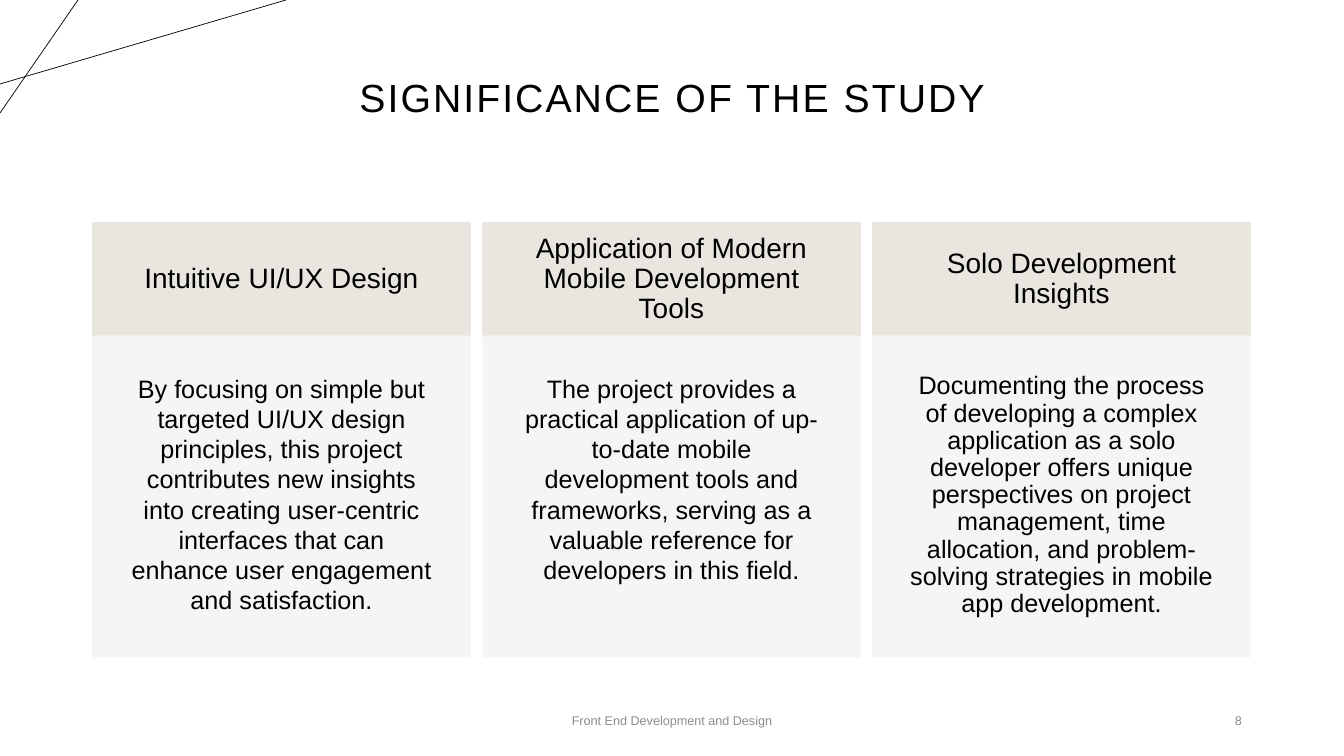
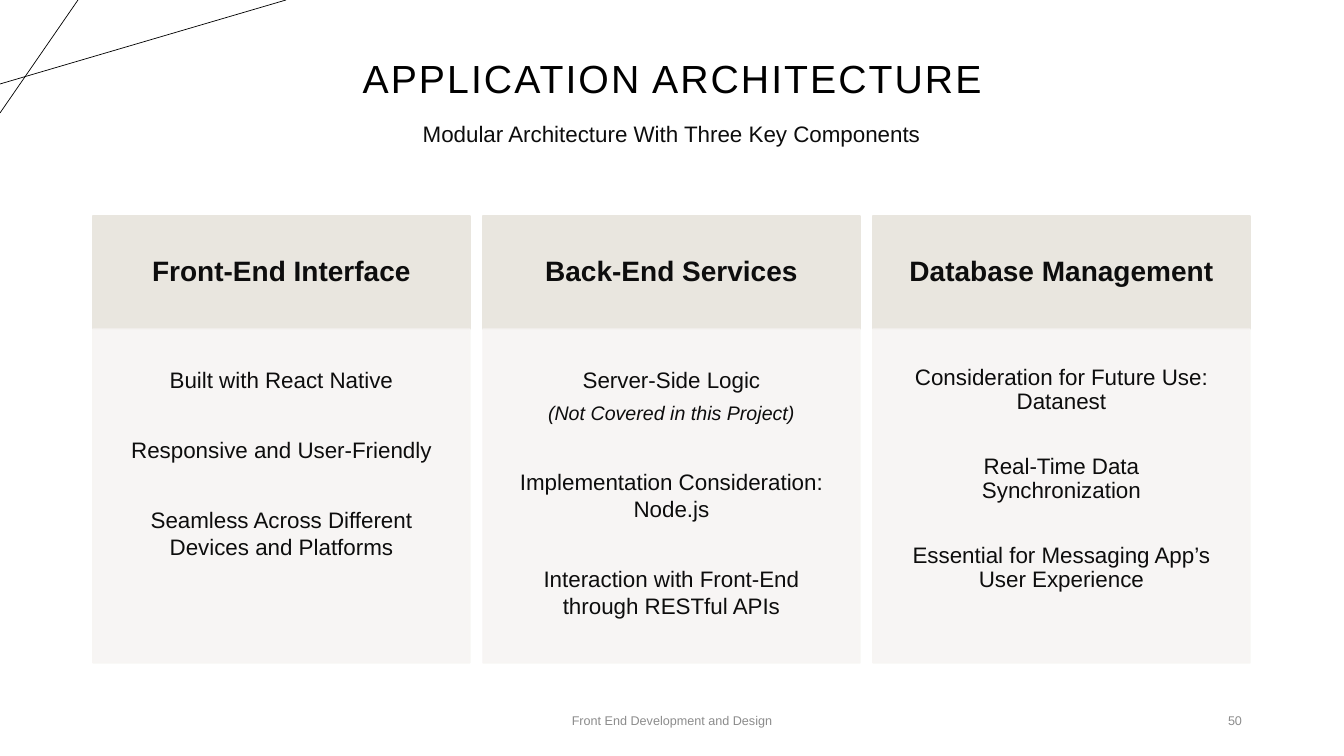
from lxml import etree
from pptx import Presentation
from pptx import util as u
from pptx.dml import color
from pptx.enum import shapes, text
from pptx.oxml import ns

SCALE = 914400 / 100.8
FONT = "Arial"
BLACK, INK, GREY = "000000", "0D0D0D", "8C8C8C"
SAND, PALE = "E9E6DF", "F7F5F3"
LEFT, STEP, WIDE, HEAD = 93, 390, 377, 113
CENTER, RIGHT = text.PP_ALIGN.CENTER, text.PP_ALIGN.RIGHT
TOP, MIDDLE = text.MSO_ANCHOR.TOP, text.MSO_ANCHOR.MIDDLE

STUDY = [
    ("Intuitive UI/UX Design", 1, [
        ("By focusing on simple but targeted UI/UX design principles, this project "
         "contributes new insights into creating user-centric interfaces that can "
         "enhance user engagement and satisfaction.", 0)]),
    ("Application of Modern Mobile Development Tools", 1, [
        ("The project provides a practical application of up-to-date mobile "
         "development tools and frameworks, serving as a valuable reference for "
         "developers in this field.", 0)]),
    ("Solo Development Insights", 0.9, [
        ("Documenting the process of developing a complex application as a solo "
         "developer offers unique perspectives on project management, time "
         "allocation, and problem-solving strategies in mobile app development.", 0)]),
]

PARTS = [
    ("Front-End Interface", 1, [
        ("Built with React Native", 31),
        ("Responsive and User-Friendly", 31),
        ("Seamless Across Different Devices and Platforms", 0)]),
    ("Back-End Services", 1, [
        ("Server-Side Logic", 6),
        ("(Not Covered in this Project)", 31, {"size": 14, "italic": True}),
        ("Implementation Consideration: Node.js", 31),
        ("Interaction with Front-End through RESTful APIs", 0)]),
    ("Database Management", 0.9, [
        ("Consideration for Future Use: Datanest", 29),
        ("Real-Time Data Synchronization", 29),
        ("Essential for Messaging App’s User Experience", 0)]),
]


def px(n):
    return u.Emu(round(n * SCALE))


def rgb(code):
    return color.RGBColor.from_string(code)


def place(item, x, y, w, h):
    item.left, item.top, item.width, item.height = px(x), px(y), px(w), px(h)


def setup(frame, anchor, pad=None):
    frame.word_wrap = True
    frame.auto_size = text.MSO_AUTO_SIZE.NONE
    frame.vertical_anchor = anchor
    if pad is not None:
        frame.margin_left = frame.margin_right = px(pad)
        frame.margin_top = frame.margin_bottom = px(pad)


def write(para, words, size, ink, align=CENTER, pitch=1, after=0, bold=False, italic=False):
    para.alignment = align
    para.line_spacing = pitch
    para.space_before = u.Pt(0)
    para.space_after = u.Pt(after)
    run = para.add_run()
    run.text = words
    font = run.font
    font.name, font.size, font.bold, font.italic = FONT, u.Pt(size), bold, italic
    font.color.rgb = rgb(ink)
    return run


def label(slide, x, y, w, h, words, size, ink, align=CENTER, anchor=MIDDLE):
    box = slide.shapes.add_textbox(px(x), px(y), px(w), px(h))
    setup(box.text_frame, anchor)
    write(box.text_frame.paragraphs[0], words, size, ink, align)


def line(slide, x1, y1, x2, y2):
    rule = slide.shapes.add_connector(
        shapes.MSO_CONNECTOR.STRAIGHT, px(x1), px(y1), px(x2), px(y2))
    rule.line.color.rgb = rgb(BLACK)
    rule.line.width = u.Pt(0.5)
    etree.SubElement(rule.element.spPr, ns.qn("a:effectLst"))


def panel(slide, x, y, h, fill, anchor, pad, alpha=100):
    box = slide.shapes.add_shape(
        shapes.MSO_SHAPE.RECTANGLE, px(x), px(y), px(WIDE), px(h))
    box.shadow.inherit = False
    box.fill.solid()
    box.fill.fore_color.rgb = rgb(fill)
    box.line.color.rgb = rgb(fill)
    box.line.width = u.Pt(1)
    if alpha < 100:
        for tone in box.element.spPr.iter(ns.qn("a:srgbClr")):
            etree.SubElement(tone, ns.qn("a:alpha"), val=str(alpha * 1000))
    setup(box.text_frame, anchor, pad)
    return box.text_frame


def cards(slide, cols, top, tall, size, ink, bold):
    for i, (name, pitch, items) in enumerate(cols):
        x = LEFT + i * STEP
        head = panel(slide, x, top, HEAD, SAND, MIDDLE, 30)
        write(head.paragraphs[0], name, 20, ink, pitch=0.9, bold=bold)
        body = panel(slide, x, top + HEAD, tall, PALE, TOP, 37, 90)
        for j, (words, after, *style) in enumerate(items):
            para = body.add_paragraph() if j else body.paragraphs[0]
            look = {"size": size, **(style[0] if style else {})}
            write(para, words, ink=ink, pitch=pitch, after=after, **look)


def page(deck, title, top, number):
    slide = deck.slides.add_slide(deck.slide_layouts.get_by_name("Title Only"))
    line(slide, 0, 84, 286, 0)
    line(slide, 78, 0, 0, 113)
    head = slide.shapes.title
    place(head, 93, top, 1159, 82)
    setup(head.text_frame, MIDDLE)
    run = write(head.text_frame.paragraphs[0], title, 28, BLACK, pitch=0.9)
    run.font._element.set("spc", "150")
    label(slide, 445, 701, 454, 40, "Front End Development and Design", 9, GREY)
    label(slide, 950, 701, 302, 40, number, 9, GREY, RIGHT)
    return slide


def main():
    deck = Presentation()
    deck.slide_width, deck.slide_height = px(1344), px(756)

    study = page(deck, "SIGNIFICANCE OF THE STUDY", 59, "8")
    cards(study, STUDY, 223, 321, 18, BLACK, False)

    parts = page(deck, "APPLICATION ARCHITECTURE", 40, "50")
    label(parts, 270, 115, 803, 37, "Modular Architecture With Three Key Components",
          16, INK, anchor=TOP)
    cards(parts, PARTS, 216, 334, 16, INK, True)

    deck.save("out.pptx")


if __name__ == "__main__":
    main()
